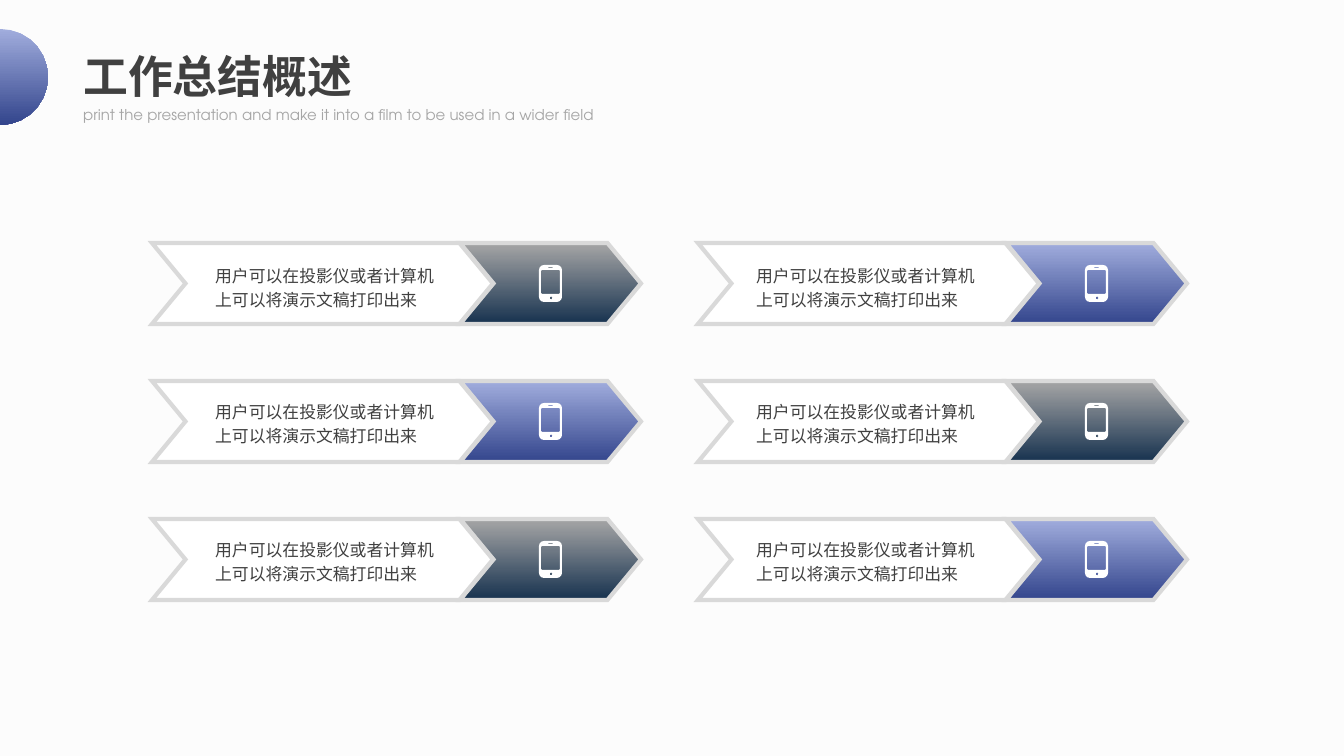
import math

from lxml import etree
from pptx import Presentation
from pptx.dml.color import RGBColor
from pptx.enum.shapes import MSO_SHAPE
from pptx.enum.text import MSO_AUTO_SIZE
from pptx.oxml.ns import qn
from pptx.util import Pt

CHEVRON = MSO_SHAPE.CHEVRON
GROW = MSO_AUTO_SIZE.SHAPE_TO_FIT_TEXT
PX = 914400 / 134.4
HEADING_FONT = "TeX Gyre Adventor"
WHITE, INK, GREY, BORDER = "FFFFFF", "404040", "A6A6A6", "D9D9D9"
SLATE = (GREY, "17324F")
INDIGO = ("A1ADDD", "33458C")
COLUMNS = ((152, 202), (698, 743))
ROWS = ((243, 255), (381, 391), (519, 529))
SUMMARY = "用户可以在投影仪或者计算机上可以将演示文稿打印出来"


def px(length):
    """Turn pixels into EMU."""
    return round(length * PX)


def rgb(value):
    """Turn a hex string into a colour."""
    return RGBColor.from_string(value)


def paint(shape, fill):
    """Fill with one colour, or with a top-to-bottom pair of colours."""
    shape.shadow.inherit = False
    if isinstance(fill, str):
        shape.fill.solid()
        shape.fill.fore_color.rgb = rgb(fill)
        return
    shape.fill.gradient()
    shape.fill.gradient_angle = 270
    for stop, colour in zip(shape.fill.gradient_stops, fill):
        stop.color.rgb = rgb(colour)


def add_chevron(shapes, left, top, width, fill):
    """Add a chevron with a sharp-cornered grey border."""
    chevron = shapes.add_shape(CHEVRON, px(left), px(top), px(width), px(81))
    chevron.adjustments[0] = 0.414
    paint(chevron, fill)
    chevron.line.color.rgb = rgb(BORDER)
    chevron.line.width = Pt(2.25)
    border = chevron._element.spPr.find(qn("a:ln"))
    etree.SubElement(border, qn("a:miter"), lim="800000")


def arc(x, y, radius, start, end):
    """Return points along an arc in degrees, more of them on larger circles."""
    steps = math.ceil(math.sqrt(radius) * (end - start) / 90)
    angles = [math.radians(start + (end - start) * i / steps) for i in range(steps + 1)]
    return [(px(x + radius * math.cos(a)), px(y + radius * math.sin(a))) for a in angles]


def rounded_box(left, top, width, height, radius):
    """Return the outline of a box with rounded corners."""
    near_x, far_x = left + radius, left + width - radius
    near_y, far_y = top + radius, top + height - radius
    corners = ((near_x, near_y), (far_x, near_y), (far_x, far_y), (near_x, far_y))
    return [point for i, (x, y) in enumerate(corners)
            for point in arc(x, y, radius, 180 + 90 * i, 270 + 90 * i)]


def add_outline(shapes, contours, fill):
    """Add one borderless freeform made of closed contours."""
    first, *holes = contours
    builder = shapes.build_freeform(*first[0])
    builder.add_line_segments(first[1:], close=True)
    for hole in holes:
        builder.move_to(*hole[0])
        builder.add_line_segments(hole[1:], close=True)
    outline = builder.convert_to_shape()
    paint(outline, fill)
    outline.line.fill.background()


def add_phone(shapes, left, top):
    """Add a white phone with see-through screen, speaker and button."""
    add_outline(shapes, [
        rounded_box(left, top, 23, 37, 5),
        rounded_box(left + 2, top + 5, 19, 24, 1)[::-1],
        rounded_box(left + 9, top + 2, 5, 1, 0.5)[::-1],
        arc(left + 12, top + 33, 1.5, 0, 360)[::-1],
    ], WHITE)


def add_text(shapes, box, text, size, font, colour, bold=False, spacing=None):
    """Add a wrapped paragraph in a text box."""
    textbox = shapes.add_textbox(*map(px, box))
    frame = textbox.text_frame
    frame.word_wrap = True
    frame.auto_size = GROW
    paragraph = frame.paragraphs[0]
    paragraph.text = text
    paragraph.line_spacing = spacing
    paragraph.font.size = Pt(size)
    paragraph.font.name = font
    paragraph.font.bold = bold
    paragraph.font.color.rgb = rgb(colour)


def add_banner(slide, left, top, text_left, text_top, accent):
    """Add a summary banner that ends in a coloured phone chevron."""
    shapes = slide.shapes.add_group_shape().shapes
    add_chevron(shapes, left + 308, top, 181, accent)
    add_chevron(shapes, left, top, 341, WHITE)
    add_phone(shapes, left + 387, top + 22)
    add_text(shapes, (text_left, text_top, 247, 62), SUMMARY, 9, "Arial", INK, spacing=1.2)


def add_heading(slide):
    """Add the title and its subtitle."""
    shapes = slide.shapes.add_group_shape().shapes
    add_text(shapes, (70, 42, 462, 67), "工作总结概述", 24, HEADING_FONT, INK, bold=True)
    add_text(shapes, (70, 99, 610, 32),
             "print the presentation and make it into a film to be used in a wider field",
             8, HEADING_FONT, GREY)


def main():
    """Build the work summary slide."""
    deck = Presentation()
    deck.slide_width, deck.slide_height = px(1344), px(756)
    slide = deck.slides.add_slide(deck.slide_layouts[6])
    slide.background.fill.solid()
    slide.background.fill.fore_color.rgb = rgb("FCFCFC")
    add_outline(slide.shapes, [arc(0, 77, 48, -90, 90)], INDIGO)
    for column, (left, text_left) in enumerate(COLUMNS):
        for row, (top, text_top) in enumerate(ROWS):
            accent = (SLATE, INDIGO)[(row + column) % 2]
            add_banner(slide, left, top, text_left, text_top, accent)
    add_heading(slide)
    deck.save("out.pptx")


if __name__ == "__main__":
    main()
